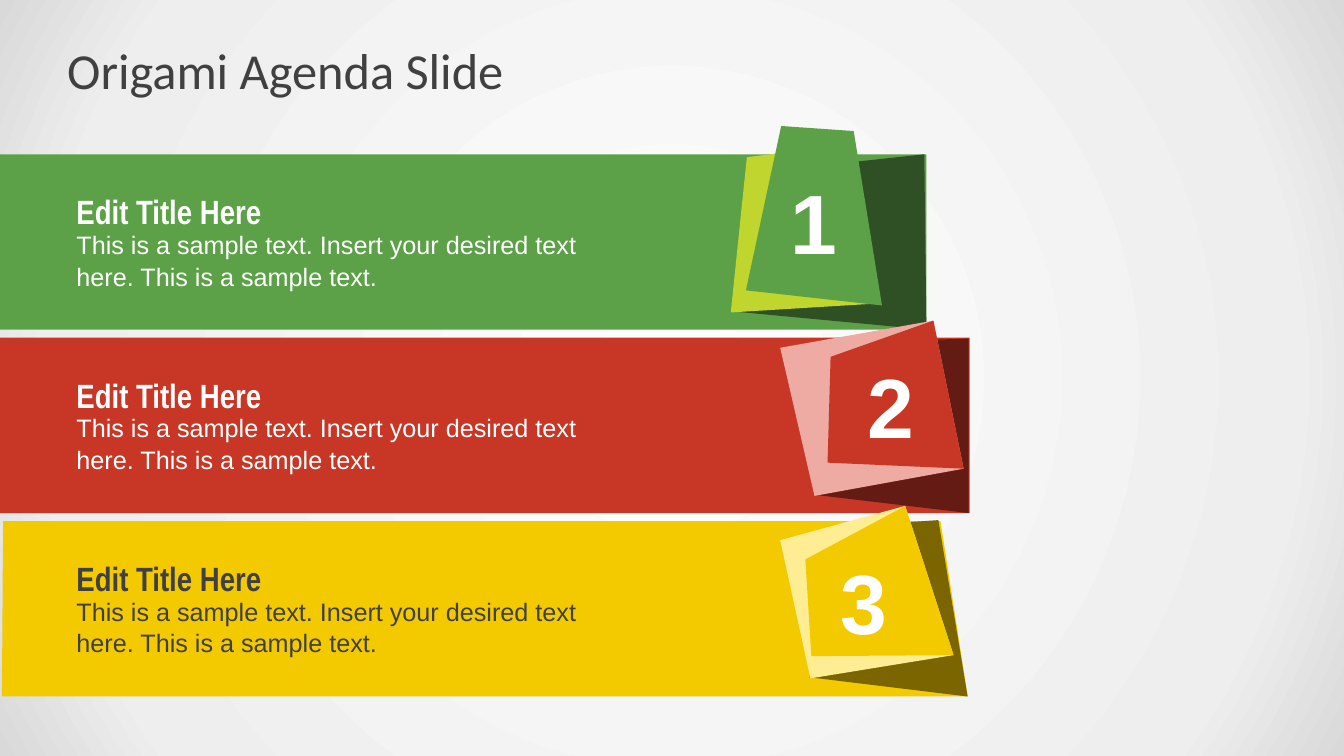
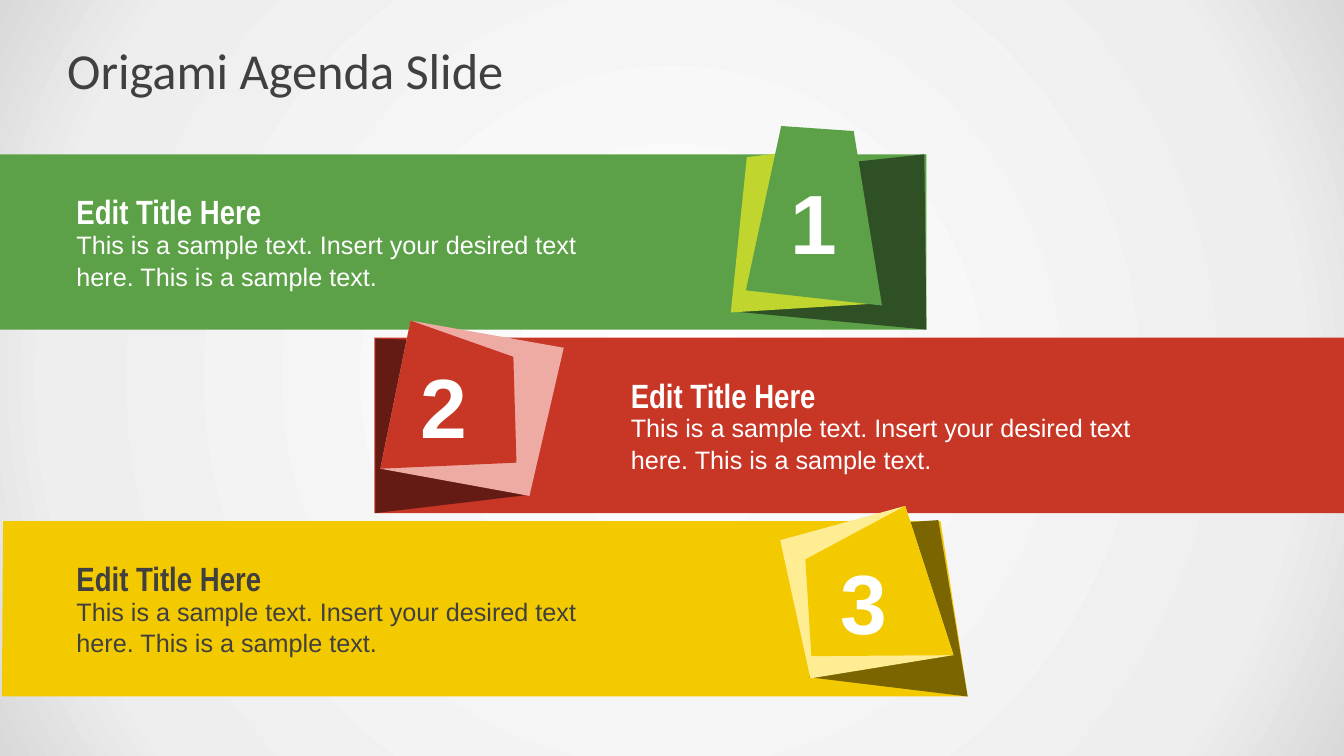
from pptx import Presentation
from pptx.dml.color import RGBColor
from pptx.enum.shapes import MSO_SHAPE
from pptx.enum.text import MSO_ANCHOR, MSO_AUTO_SIZE, PP_ALIGN
from pptx.oxml import parse_xml
from pptx.oxml.ns import nsdecls, qn
from pptx.util import Pt

WIDTH, HEIGHT = 960, 540
BAND_TOP, BAND_PITCH, BAND_HEIGHT = 110.2, 131, 125.3
WHITE, GREY = "FFFFFF", "404040"
GREEN, RED, YELLOW = "5CA147", "C83626", "F3C900"
TITLE = "Origami Agenda Slide"
HEADING = "Edit Title Here"
BODY = "This is a sample text. Insert your desired text here. This is a sample text."

# Each band: fill, text colour, outline (a width means a rectangle),
# folded pieces from back to front, number insets (left, top, right, bottom)
BANDS = [
    (GREEN, WHITE, 661.7, [
        ("2E5024", [(660.2, 110.2), (661.7, 235.4), (524.2, 222.5),
                    (547.9, 155.5), (560.2, 121)]),
        ("C0D62E", [(592.6, 105.1), (601.9, 121), (628.6, 216.7),
                    (522, 223.2), (533.5, 112.3)]),
        (GREEN, [(558, 90), (609.8, 93.6), (630, 218.2), (532.8, 207.4)]),
    ], (14.4, 21.6, 14.4, 14.4)),
    (RED, WHITE, 692.6, [
        ("641B13", [(691.9, 241.9), (691.9, 366.5), (582.5, 353.5),
                    (604.1, 270), (616.3, 244.1)]),
        ("EEABA4", [(666.7, 229), (688.3, 334.8), (581.8, 354.2), (557.3, 248.4)]),
        (RED, [(666.7, 229), (688.3, 334.8), (591.1, 330.5), (593.3, 254.9)]),
    ], (14.4, 28.8, 21.6, 14.4)),
    (YELLOW, GREY, [(2.2, 372.2), (671.8, 372.2), (691.2, 497.5), (1.4, 497.5)], [
        ("7A6500", [(670.3, 371.5), (691.2, 497.5), (578.2, 483.8),
                    (606.2, 398.9), (617, 375.1)]),
        ("FFED94", [(646.6, 361.4), (681.1, 468), (578.9, 484.6), (557.3, 385.9)]),
        (YELLOW, [(646.6, 361.4), (681.1, 468), (579.6, 468.7), (575.3, 399.6)]),
    ], (14.4, 43.2, 36, 14.4)),
]


def color(hex_code):
    return RGBColor.from_string(hex_code)


def add_flat(s, outline, top, fill, mirrored):
    """Add a borderless rectangle (outline is its width) or polygon (points)."""
    if isinstance(outline, list):
        points = [(Pt(WIDTH - x if mirrored else x), Pt(y)) for x, y in outline]
        builder = s.shapes.build_freeform(*points[0])
        builder.add_line_segments(points[1:], close=True)
        sp = builder.convert_to_shape()
    else:
        left = WIDTH - outline if mirrored else 0
        sp = s.shapes.add_shape(MSO_SHAPE.RECTANGLE, Pt(left), Pt(top),
                                Pt(outline), Pt(BAND_HEIGHT))
    sp.shadow.inherit = False
    sp.fill.solid()
    sp.fill.fore_color.rgb = color(fill)
    sp.line.fill.background()
    return sp


prs = Presentation()
prs.slide_width, prs.slide_height = Pt(WIDTH), Pt(HEIGHT)

# Radial background shared by all slides
master = prs.slide_master
master.background.fill.gradient()
gradient = master.element.find(".//" + qn("a:gradFill"))
stops = "".join(
    f'<a:gs pos="{pos * 1000}"><a:srgbClr val="{value}"/></a:gs>'
    for pos, value in [(0, "FFFFFF"), (81, "EEEEEE"), (100, "D9D9D9")])
gradient.getparent().replace(gradient, parse_xml(
    f'<a:gradFill {nsdecls("a")} rotWithShape="1"><a:gsLst>{stops}</a:gsLst>'
    '<a:path path="circle"><a:fillToRect l="50000" t="50000" r="50000" b="50000"/>'
    '</a:path></a:gradFill>'))

# The second slide mirrors its middle band
for mirrored_bands in [(), (1,)]:
    s = prs.slides.add_slide(prs.slide_layouts[5])
    title = s.shapes.title
    title.left, title.top, title.width, title.height = Pt(48), Pt(21.6), Pt(864), Pt(56)
    tf = title.text_frame
    tf.text = TITLE
    tf.margin_left = tf.margin_right = 0
    tf.margin_top = tf.margin_bottom = Pt(5)
    tf.vertical_anchor = MSO_ANCHOR.MIDDLE
    p = tf.paragraphs[0]
    p.alignment = PP_ALIGN.LEFT
    p.font.size, p.font.name = Pt(36), "Calibri"
    p.font.color.rgb = color(GREY)

    for i, (fill, text_color, outline, pieces, insets) in enumerate(BANDS):
        mirrored = i in mirrored_bands
        top = BAND_TOP + i * BAND_PITCH
        add_flat(s, outline, top, fill, mirrored)
        for piece_fill, points in pieces:
            front = add_flat(s, points, top, piece_fill, mirrored)

        tf = front.text_frame
        tf.margin_left, tf.margin_top, tf.margin_right, tf.margin_bottom = map(Pt, insets)
        tf.vertical_anchor = MSO_ANCHOR.MIDDLE
        p = tf.paragraphs[0]
        p.text = str(i + 1)
        p.alignment = PP_ALIGN.CENTER
        p.font.size, p.font.name, p.font.bold = Pt(60), "Arial", True
        p.font.color.rgb = color(WHITE)

        left = 443.5 if mirrored else 47.5
        for text, offset, height, size, font, bold in [
                (BODY, 48.9, 51.1, 18, "Arial", False),
                (HEADING, 21.5, 36, 24, "Arial Narrow", True)]:
            box = s.shapes.add_textbox(Pt(left), Pt(top + offset), Pt(409.7), Pt(height))
            tf = box.text_frame
            tf.word_wrap = True
            tf.auto_size = MSO_AUTO_SIZE.SHAPE_TO_FIT_TEXT
            p = tf.paragraphs[0]
            p.text = text
            p.line_spacing = 1.05
            p.font.size, p.font.name, p.font.bold = Pt(size), font, bold
            p.font.color.rgb = color(text_color)

prs.save("out.pptx")
